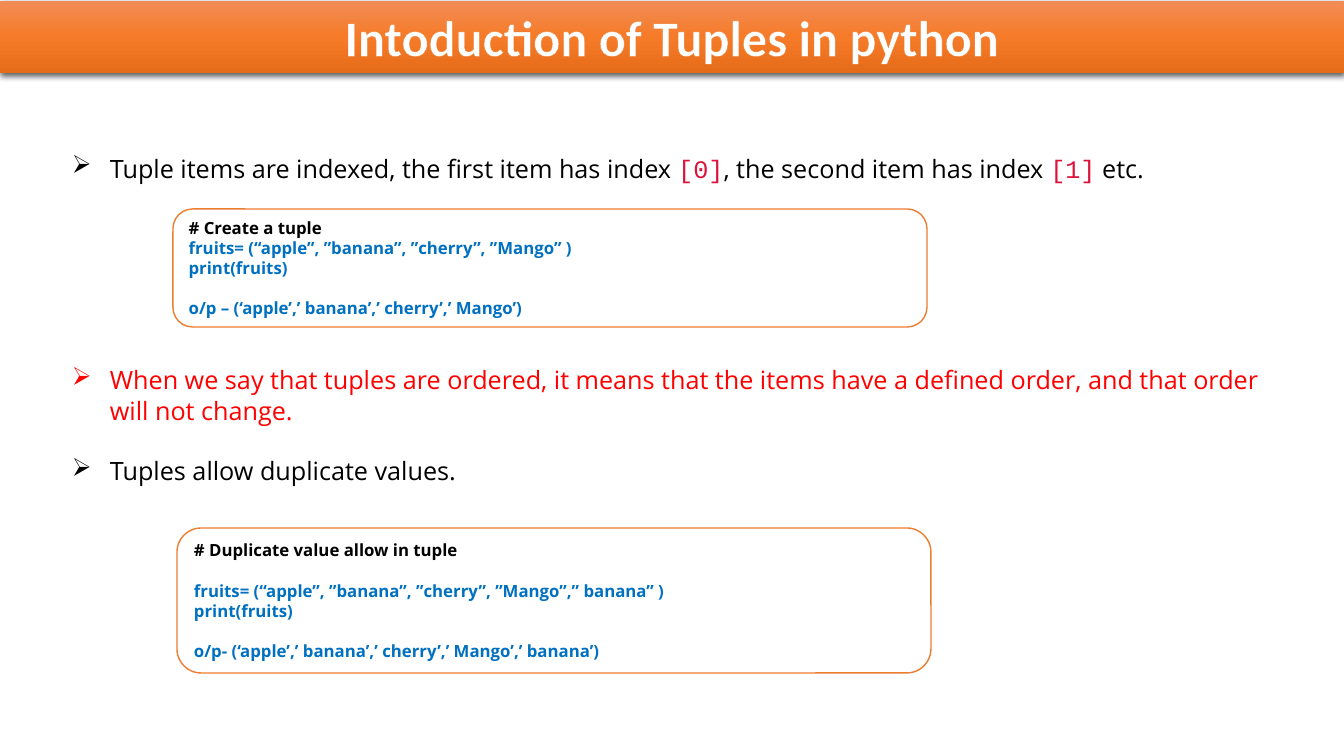
from dataclasses import dataclass

from lxml import etree
from pptx import Presentation
from pptx.dml.color import RGBColor
from pptx.enum.shapes import MSO_SHAPE
from pptx.enum.text import MSO_ANCHOR, PP_ALIGN
from pptx.oxml import parse_xml
from pptx.util import Pt

RECT, ROUNDED = MSO_SHAPE.RECTANGLE, MSO_SHAPE.ROUNDED_RECTANGLE
TOP, MIDDLE = MSO_ANCHOR.TOP, MSO_ANCHOR.MIDDLE
LEFT, CENTER = PP_ALIGN.LEFT, PP_ALIGN.CENTER
A_NS = "http://schemas.openxmlformats.org/drawingml/2006/main"
EMU_PER_PX = 914400 / 100.8


@dataclass(frozen=True)
class Theme:
    white: str = "FFFFFF"
    black: str = "000000"
    orange: str = "ED7D31"
    red: str = "FF0000"
    crimson: str = "DC143C"
    blue: str = "0070C0"
    banner: tuple = ("F18C57", "F67B28", "E56C19")
    title_font: str = "Calibri"
    body_font: str = "Open Sans"
    code_font: str = "Courier New"
    title_size: int = 36
    body_size: int = 18
    code_size: int = 12
    line_height: float = 1.2


THEME = Theme()


def px(pixels):
    return round(pixels * EMU_PER_PX)


def drawing_xml(tag, content, attributes=""):
    return parse_xml(f'<a:{tag} xmlns:a="{A_NS}" {attributes}>{content}</a:{tag}>')


def solid(color):
    return f'<a:solidFill><a:srgbClr val="{color}"/></a:solidFill>'


def add_text(paragraph, text, *, size, color, font=THEME.body_font, bold=False, outline=None):
    """Add text to a paragraph; each newline becomes a line break."""
    for number, line in enumerate(text.split("\n")):
        if number:
            paragraph.add_line_break()
        run = paragraph.add_run()
        run.text = line
        run.font.size = Pt(size)
        run.font.name = font
        run.font.bold = bold
        run.font.color.rgb = RGBColor.from_string(color)
        if outline:
            run.font._element.insert(0, drawing_xml("ln", solid(outline), 'w="6600"'))


def next_paragraph(frame, index, blank_lines=0, size=THEME.code_size, align=LEFT):
    paragraph = frame.paragraphs[0] if index == 0 else frame.add_paragraph()
    paragraph.alignment = align
    paragraph.space_before = Pt(round(blank_lines * size * THEME.line_height, 1))
    return paragraph


def add_panel(slide, preset, left, top, width, height, anchor):
    panel = slide.shapes.add_shape(preset, px(left), px(top), px(width), px(height))
    panel.shadow.inherit = False
    panel.text_frame.word_wrap = True
    panel.text_frame.vertical_anchor = anchor
    return panel


def add_banner(slide, title):
    banner = add_panel(slide, RECT, 0, 1, 1344, 72, TOP)
    banner.line.fill.background()
    banner.fill.gradient()
    banner.fill.gradient_angle = 270
    stops = banner._element.spPr.find(f".//{{{A_NS}}}gsLst")
    for stop in list(stops):
        stops.remove(stop)
    for index, color in enumerate(THEME.banner):
        stop = etree.SubElement(stops, f"{{{A_NS}}}gs", pos=str(index * 50000))
        etree.SubElement(stop, f"{{{A_NS}}}srgbClr", val=color)
    # Soft shadow straight below
    effects = banner._element.spPr.find(f"{{{A_NS}}}effectLst")
    effects.append(drawing_xml(
        "outerShdw",
        f'<a:srgbClr val="{THEME.black}"><a:alpha val="63000"/></a:srgbClr>',
        'blurRad="57150" dist="19050" dir="5400000" algn="ctr" rotWithShape="0"'))
    add_text(next_paragraph(banner.text_frame, 0, align=CENTER), title,
             size=THEME.title_size, color=THEME.white, font=THEME.title_font,
             bold=True, outline=THEME.orange)


def add_code_box(slide, left, top, width, height, passages):
    """Each passage is (blank lines above, text, colour)."""
    box = add_panel(slide, ROUNDED, left, top, width, height, MIDDLE)
    box.fill.solid()
    box.fill.fore_color.rgb = RGBColor.from_string(THEME.white)
    box.line.color.rgb = RGBColor.from_string(THEME.orange)
    box.line.width = Pt(1)
    for index, (blank_lines, code, color) in enumerate(passages):
        add_text(next_paragraph(box.text_frame, index, blank_lines), code,
                 size=THEME.code_size, color=color, bold=True)


def add_bullets(slide, left, top, width, height, points):
    """Each point is (blank lines above, [(text, colour, font), ...])."""
    frame = slide.shapes.add_textbox(px(left), px(top), px(width), px(height)).text_frame
    frame.word_wrap = True
    for index, (blank_lines, pieces) in enumerate(points):
        paragraph = next_paragraph(frame, index, blank_lines, THEME.body_size)
        properties = paragraph._p.get_or_add_pPr()
        properties.set("marL", str(px(38)))
        properties.set("indent", str(px(-38)))
        properties.append(drawing_xml("buChar", "", 'char="➢"'))
        for text, color, font in pieces:
            add_text(paragraph, text, size=THEME.body_size, color=color, font=font)


def main():
    deck = Presentation()
    deck.slide_width, deck.slide_height = px(1344), px(756)
    slide = deck.slides.add_slide(deck.slide_layouts[6])
    body, code = THEME.body_font, THEME.code_font
    black, red, crimson, blue = THEME.black, THEME.red, THEME.crimson, THEME.blue

    # Statements about tuples
    add_bullets(slide, 62, 148, 1210, 559, [
        (0, [("Tuple items are indexed, the first item has index\u00a0", black, body),
             ("[0]", crimson, code),
             (", the second item has index\u00a0", black, body),
             ("[1]", crimson, code),
             ("\u00a0etc.", black, body)]),
        (6, [("When we say that tuples are ordered, it means that the items have "
              "a defined order, and that order will not change.", red, body)]),
        (1, [("Tuples allow duplicate values.", black, body)]),
    ])

    # Code examples
    add_code_box(slide, 173, 209, 754, 118, [
        (0, "# Create a tuple", black),
        (0, "fruits= (“apple”,\u00a0”banana”,\u00a0”cherry”, ”Mango” )\nprint(fruits)", blue),
        (1, "o/p – (‘apple’,’ banana’,’ cherry’,’ Mango’)", blue),
    ])
    add_code_box(slide, 177, 528, 754, 145, [
        (0, "# Duplicate value allow in tuple", black),
        (1, "fruits= (“apple”,\u00a0”banana”,\u00a0”cherry”, ”Mango”,” banana” )\nprint(fruits)", blue),
        (1, "o/p- (‘apple’,’ banana’,’ cherry’,’ Mango’,’ banana’)", blue),
    ])

    # Title banner
    add_banner(slide, "Intoduction of Tuples in python")

    deck.save("out.pptx")


main()
